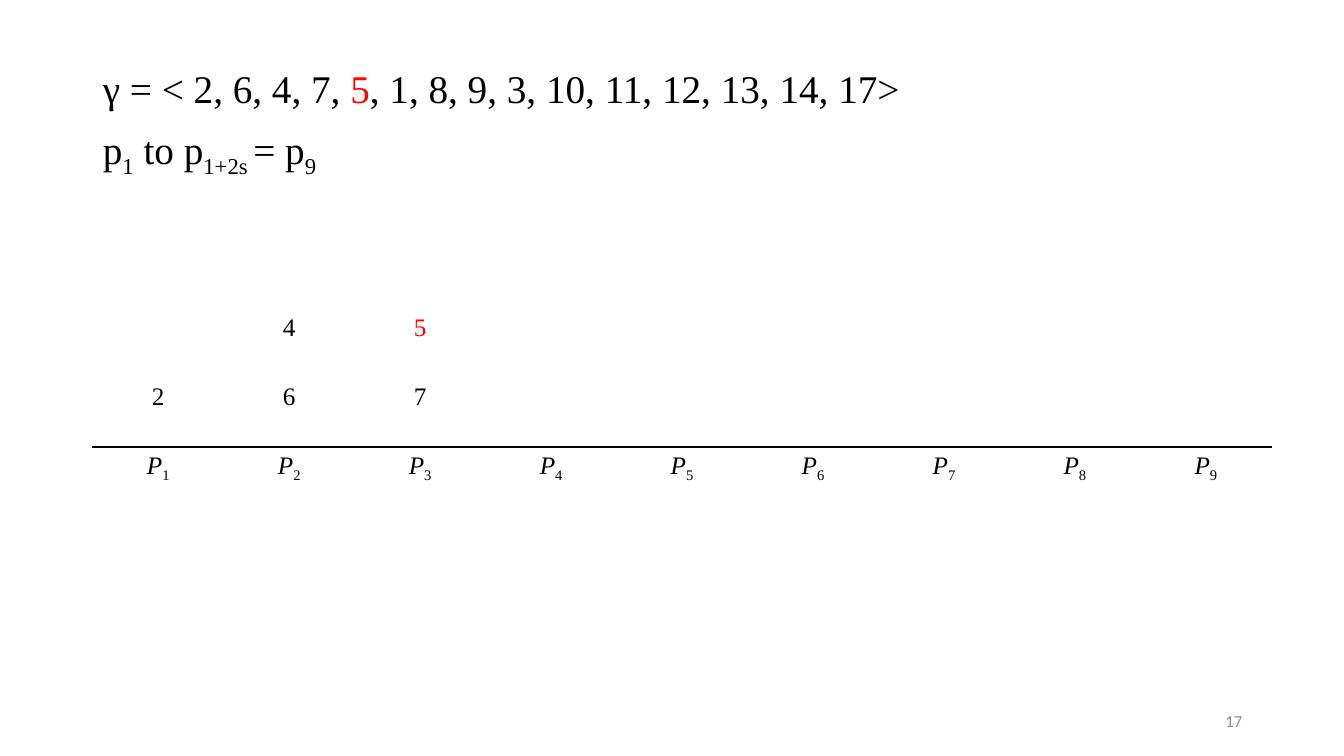
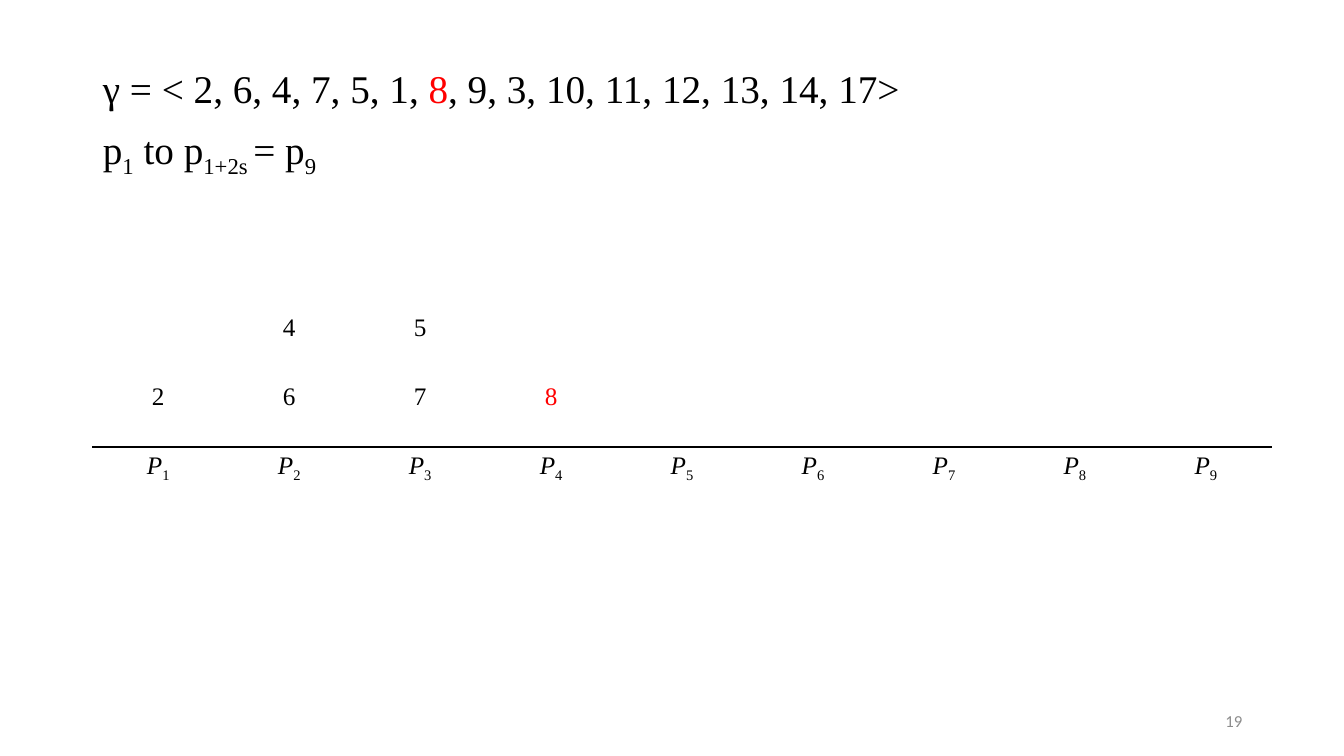
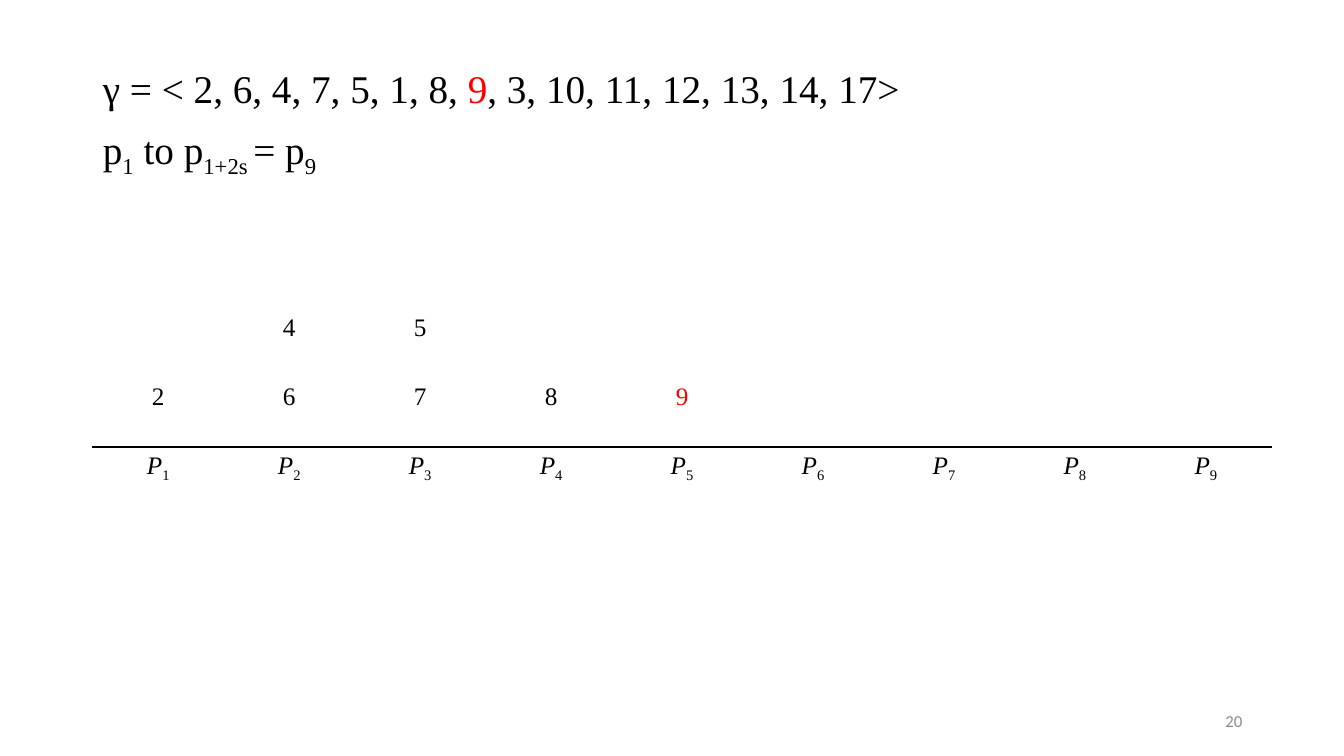
"""Build the patience-sorting slides that follow one sequence onto its piles."""
from lxml import etree
from pptx import Presentation
from pptx.dml.color import RGBColor
from pptx.enum.text import MSO_ANCHOR, MSO_AUTO_SIZE, PP_ALIGN
from pptx.oxml.ns import qn
from pptx.util import Inches, Pt

CENTER, RIGHT = PP_ALIGN.CENTER, PP_ALIGN.RIGHT
MIDDLE, NO_AUTOFIT = MSO_ANCHOR.MIDDLE, MSO_AUTO_SIZE.NONE

BLACK, WHITE, RED, GRAY = "000000", "FFFFFF", "FF0000", "8C8C8C"
SERIF, SANS = "Times New Roman", "Calibri"

SEQUENCE = [2, 6, 4, 7, 5, 1, 8, 9, 3, 10, 11, 12, 13, 14, 17]
PILES = [[2], [6, 4], [7, 5], [8], [9]]
PILE_COUNT, ROW_COUNT = 9, 4
LABEL_ROW = ROW_COUNT - 1
STEPS = [(17, 5), (19, 8), (20, 9)]
RANGE_LINE = [("p", "plain"), ("1", "subscript"), (" to p", "plain"),
              ("1+2s ", "subscript"), ("= p", "plain"), ("9", "subscript")]


def color(value):
    """Return the colour for a hex string."""
    return RGBColor.from_string(value)


class Deck:
    """Hold the presentation, its text style and the current slide."""

    FORMATS = {
        "plain": {"color": BLACK},
        "current": {"color": RED},
        "label": {"color": BLACK, "italic": True},
        "subscript": {"color": BLACK, "baseline": "-25000"},
        "number": {"color": GRAY, "name": SANS},
    }

    def __init__(self):
        """Start an empty widescreen presentation."""
        self.presentation = Presentation()
        self.presentation.slide_width = Inches(13.33)
        self.presentation.slide_height = Inches(7.5)
        self.slide = None

    def add_slide(self):
        """Add a slide that keeps only the body placeholder."""
        layout = self.presentation.slide_layouts[1]
        self.slide = self.presentation.slides.add_slide(layout)
        title = self.slide.shapes.title
        title.element.getparent().remove(title.element)

    def add_runs(self, paragraph, runs, size):
        """Fill a paragraph with (text, format name) runs."""
        for text, format_name in runs:
            run = paragraph.add_run()
            run.text = text
            values = {"name": SERIF, "size": Pt(size), **self.FORMATS[format_name]}
            run.font.color.rgb = color(values.pop("color"))
            baseline = values.pop("baseline", None)
            if baseline:
                run._r.get_or_add_rPr().set("baseline", baseline)
            for name, value in values.items():
                setattr(run.font, name, value)

    def body(self, lines):
        """Put unbulleted lines in the body placeholder."""
        body = self.slide.placeholders[1]
        place = {"left": 0.92, "top": 0.64, "width": 11.5, "height": 6.12}
        for name, value in place.items():
            setattr(body, name, Inches(value))
        frame = body.text_frame
        frame.auto_size = NO_AUTOFIT
        for index, runs in enumerate(lines):
            paragraph = frame.add_paragraph() if index else frame.paragraphs[0]
            properties = paragraph._p.get_or_add_pPr()
            properties.set("marL", "0")
            properties.set("indent", "0")
            etree.SubElement(properties, qn("a:buNone"))
            paragraph.line_spacing = 0.9
            paragraph.space_before = Pt(10 if index else 0)
            self.add_runs(paragraph, runs, 28)

    def page_number(self, number):
        """Put the page number at the bottom right."""
        box = self.slide.shapes.add_textbox(
            Inches(9.42), Inches(6.95), Inches(3), Inches(0.4))
        frame = box.text_frame
        frame.word_wrap = True
        frame.vertical_anchor = MIDDLE
        paragraph = frame.paragraphs[0]
        paragraph.alignment = RIGHT
        self.add_runs(paragraph, [(str(number), "number")], 12)

    def border(self, cell, side, value):
        """Draw one side of a cell as a thin line."""
        line = etree.SubElement(
            cell._tc.get_or_add_tcPr(), qn(f"a:ln{side}"), w=str(Pt(1)))
        fill = etree.SubElement(line, qn("a:solidFill"))
        etree.SubElement(fill, qn("a:srgbClr"), val=value)

    def pile_table(self, contents):
        """Draw the piles from a mapping of (row, column) to runs."""
        table = self.slide.shapes.add_table(
            ROW_COUNT, PILE_COUNT,
            Inches(0.92), Inches(2.38), Inches(11.69), Inches(2.74)).table
        table.first_row = table.horz_banding = False
        for row in range(ROW_COUNT):
            sides = {"L": WHITE, "R": WHITE,
                     "T": BLACK if row == LABEL_ROW else WHITE,
                     "B": BLACK if row == LABEL_ROW - 1 else WHITE}
            for column in range(PILE_COUNT):
                cell = table.cell(row, column)
                for side, value in sides.items():
                    self.border(cell, side, value)
                cell.fill.solid()
                cell.fill.fore_color.rgb = color(WHITE)
                paragraph = cell.text_frame.paragraphs[0]
                paragraph.alignment = CENTER
                self.add_runs(paragraph, contents.get((row, column), []), 18)


def sequence_line(current):
    """Return the runs of the sequence with the current value marked."""
    index = SEQUENCE.index(current)
    before = "".join(f"{value}, " for value in SEQUENCE[:index])
    after = "".join(f", {value}" for value in SEQUENCE[index + 1:])
    return [(f"γ = < {before}", "plain"), (str(current), "current"),
            (f"{after}>", "plain")]


def pile_contents(current):
    """Return the table runs once the current value has been placed."""
    placed = SEQUENCE[:SEQUENCE.index(current) + 1]
    contents = {(LABEL_ROW, column): [("P", "label"), (str(column + 1), "subscript")]
                for column in range(PILE_COUNT)}
    for column, pile in enumerate(PILES):
        for depth, value in enumerate(pile):
            if value in placed:
                format_name = "current" if value == current else "plain"
                contents[LABEL_ROW - 1 - depth, column] = [(str(value), format_name)]
    return contents


def main():
    """Build every step and save the file."""
    deck = Deck()
    for number, current in STEPS:
        deck.add_slide()
        deck.body([sequence_line(current), RANGE_LINE])
        deck.page_number(number)
        deck.pile_table(pile_contents(current))
    deck.presentation.save("out.pptx")


if __name__ == "__main__":
    main()
